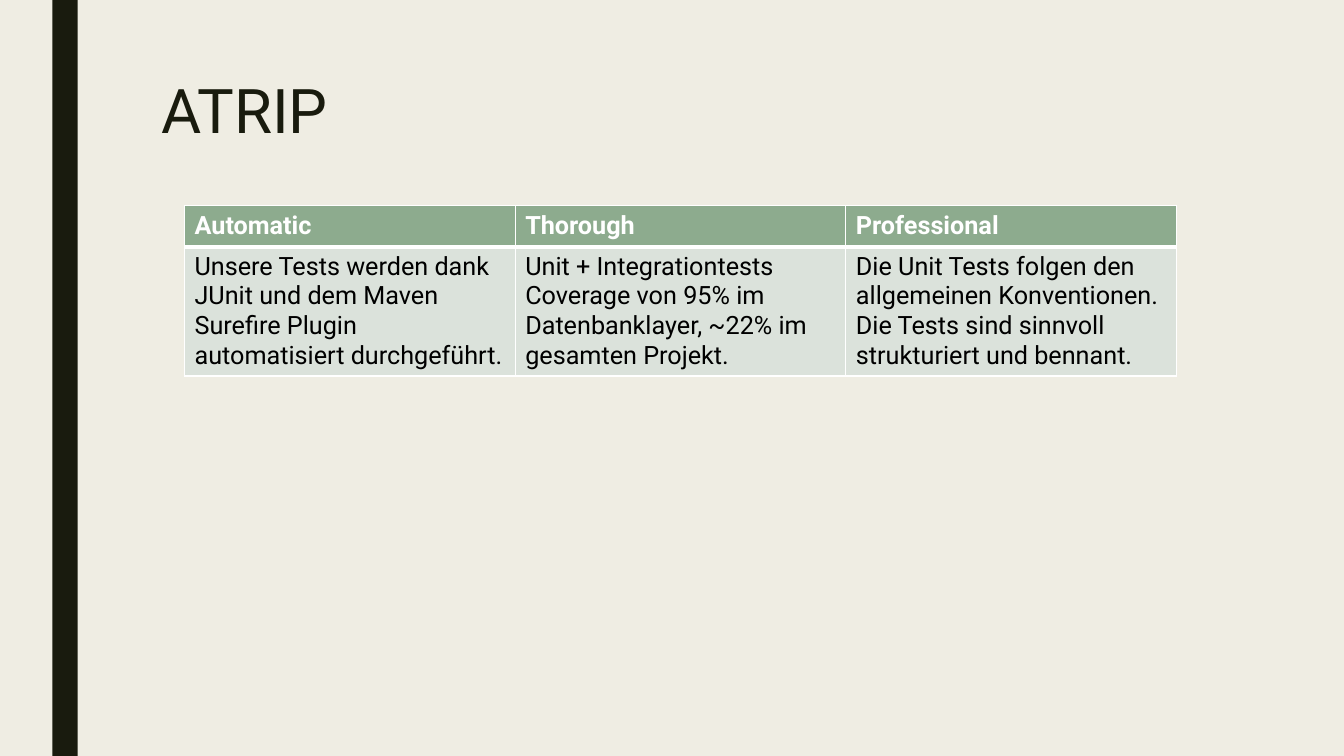
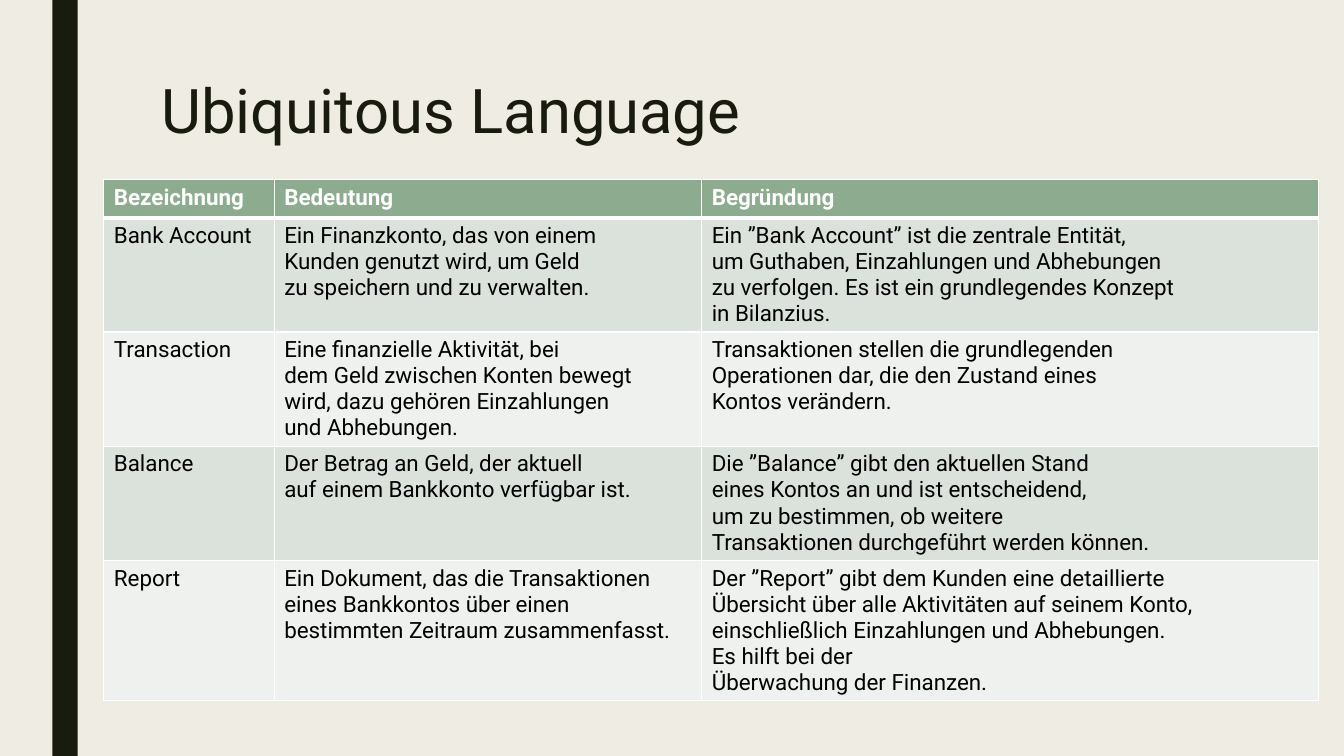
import pptx
import pptx.util
import pptx.dml.color
import pptx.enum.shapes
import pptx.enum.text
import pptx.oxml
import pptx.oxml.ns
from pptx.util import Inches

FONT = "Roboto"
PAPER, INK, WHITE, BLACK = "EFEDE3", "191B0E", "FFFFFF", "000000"
HEADER_FILL = "8DAB8E"
BAND_FILLS = ["DBE2DB", "EEF1EE"]

# Content: a line break in a cell starts a new paragraph
SLIDES = [
    {
        "title": "ATRIP",
        "left": 1.83, "top": 2.04, "size": 18,
        "columns": [3.28, 3.28, 3.28],
        "heights": [0.41, 1.28],
        "rows": [
            ["Automatic", "Thorough", "Professional"],
            ["Unsere Tests werden dank JUnit und dem Maven Surefire Plugin "
             "automatisiert durchgeführt.",
             "Unit + Integrationtests\n"
             "Coverage von 95% im Datenbanklayer, ~22% im gesamten Projekt.",
             "Die Unit Tests folgen den allgemeinen Konventionen. "
             "Die Tests sind sinnvoll strukturiert und bennant."],
        ],
    },
    {
        "title": "Ubiquitous Language",
        "left": 1.03, "top": 1.78, "size": 16,
        "columns": [1.69, 4.24, 6.12],
        "heights": [0.38, 1.13, 1.13, 1.13, 1.39],
        "rows": [
            ["Bezeichnung", "Bedeutung", "Begründung"],
            ["Bank Account",
             "Ein Finanzkonto, das von einem\n"
             "Kunden genutzt wird, um Geld\n"
             "zu speichern und zu verwalten.",
             "Ein ”Bank Account” ist die zentrale Entität,\n"
             "um Guthaben, Einzahlungen und Abhebungen\n"
             "zu verfolgen. Es ist ein grundlegendes Konzept\n"
             "in Bilanzius."],
            ["Transaction",
             "Eine finanzielle Aktivität, bei\n"
             "dem Geld zwischen Konten bewegt\n"
             "wird, dazu gehören Einzahlungen\n"
             "und Abhebungen.",
             "Transaktionen stellen die grundlegenden\n"
             "Operationen dar, die den Zustand eines\n"
             "Kontos verändern."],
            ["Balance",
             "Der Betrag an Geld, der aktuell\n"
             "auf einem Bankkonto verfügbar ist.",
             "Die ”Balance” gibt den aktuellen Stand\n"
             "eines Kontos an und ist entscheidend,\n"
             "um zu bestimmen, ob weitere\n"
             "Transaktionen durchgeführt werden können."],
            ["Report",
             "Ein Dokument, das die Transaktionen\n"
             "eines Bankkontos über einen\n"
             "bestimmten Zeitraum zusammenfasst.",
             "Der ”Report” gibt dem Kunden eine detaillierte\n"
             "Übersicht über alle Aktivitäten auf seinem Konto,\n"
             "einschließlich Einzahlungen und Abhebungen.\n"
             "Es hilft bei der\n"
             "Überwachung der Finanzen."],
        ],
    },
]


def paint(fill, color):
    fill.solid()
    fill.fore_color.rgb = pptx.dml.color.RGBColor.from_string(color)


def format_para(para, size, color, bold=False):
    values = {"name": FONT, "size": pptx.util.Pt(size), "bold": bold}
    for name, value in values.items():
        setattr(para.font, name, value)
    paint(para.font.fill, color)


def add_borders(cell, widths):
    """Draw white cell edges; widths maps L, R, T, B to points."""
    properties = cell._tc.get_or_add_tcPr()
    for index, (side, width) in enumerate(widths.items()):
        line = pptx.oxml.parse_xml(
            f'<a:ln{side} {pptx.oxml.ns.nsdecls("a")} w="{pptx.util.Pt(width)}">'
            f'<a:solidFill><a:srgbClr val="{WHITE}"/></a:solidFill></a:ln{side}>')
        properties.insert(index, line)


def add_page(deck, title):
    page = deck.slides.add_slide(deck.slide_layouts[5])
    paint(page.background.fill, PAPER)

    # Vertical band
    band = page.shapes.add_shape(
        pptx.enum.shapes.MSO_SHAPE.RECTANGLE,
        Inches(0.52), Inches(0), Inches(0.25), deck.slide_height)
    band.shadow.inherit = False
    paint(band.fill, INK)
    band.line.fill.background()

    # Title
    box = page.shapes.title
    place = {"left": 1.5, "top": 0.75, "width": 10.5, "height": 1.62}
    for name, value in place.items():
        setattr(box, name, Inches(value))
    box.text_frame.text = title
    box.text_frame.vertical_anchor = pptx.enum.text.MSO_ANCHOR.TOP
    para = box.text_frame.paragraphs[0]
    para.alignment = pptx.enum.text.PP_ALIGN.LEFT
    para.line_spacing = 0.89
    format_para(para, 44, INK)
    return page


def add_grid(page, content):
    rows, columns, heights = (content[key] for key in ("rows", "columns", "heights"))
    table = page.shapes.add_table(
        len(rows), len(columns), Inches(content["left"]), Inches(content["top"]),
        Inches(sum(columns)), Inches(sum(heights))).table
    for column, width in zip(table.columns, columns):
        column.width = Inches(width)
    for index, (row, texts) in enumerate(zip(table.rows, rows)):
        row.height = Inches(heights[index])
        header = index == 0
        fill = HEADER_FILL if header else BAND_FILLS[(index - 1) % 2]
        # The rule below the header is thicker than the others
        widths = {"L": 1, "R": 1, "T": 3 if index == 1 else 1, "B": 3 if header else 1}
        for cell, text in zip(row.cells, texts):
            cell.text = text
            paint(cell.fill, fill)
            add_borders(cell, widths)
            for para in cell.text_frame.paragraphs:
                format_para(para, content["size"], WHITE if header else BLACK, header)


def main():
    deck = pptx.Presentation()
    deck.slide_width, deck.slide_height = Inches(13.33), Inches(7.5)
    for content in SLIDES:
        add_grid(add_page(deck, content["title"]), content)
    deck.save("out.pptx")


if __name__ == "__main__":
    main()
